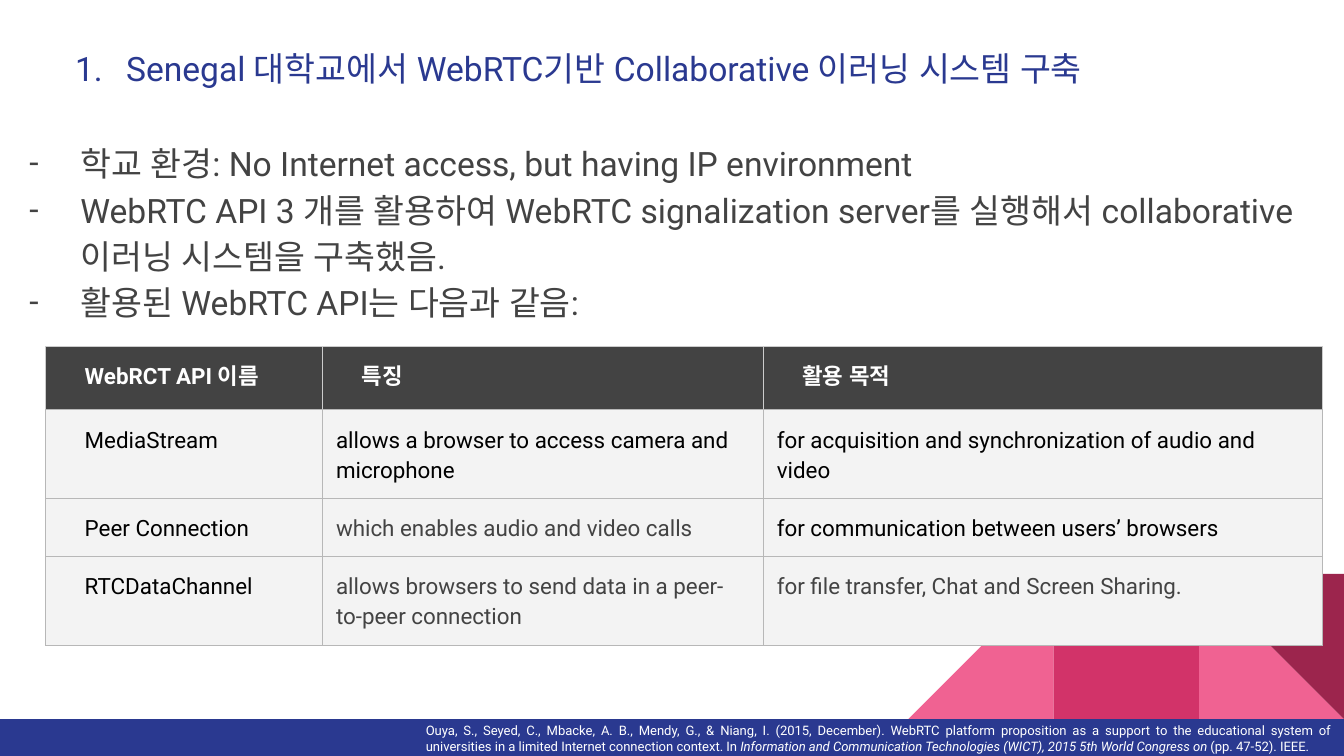
from lxml import etree
from pptx import Presentation
from pptx.dml.color import RGBColor
from pptx.enum.shapes import MSO_SHAPE
from pptx.enum.text import MSO_ANCHOR, PP_ALIGN
from pptx.oxml.ns import qn
from pptx.util import Inches, Pt

RECT, TRI = MSO_SHAPE.RECTANGLE, MSO_SHAPE.RIGHT_TRIANGLE
FONT = "Roboto"
NAVY, GREY, BLACK, WHITE = "2A3990", "434343", "000000", "FFFFFF"
PINK, ROSE, WINE = "F06292", "D23369", "9C254D"
PALE, LINE, LIGHT = "F3F3F3", "B7B7B7", "CCCCCC"

TITLE = "Senegal 대학교에서 WebRTC기반 Collaborative 이러닝 시스템 구축"
POINTS = [
    "학교 환경: No Internet access, but having IP environment",
    "WebRTC API 3 개를 활용하여 WebRTC signalization server를 실행해서 "
    "collaborative 이러닝 시스템을 구축했음.",
    "활용된 WebRTC API는 다음과 같음:",
]
HEADS = ["WebRCT API 이름", "특징", "활용 목적"]
ROWS = [
    [("MediaStream", BLACK),
     ("allows a browser to access camera and microphone", BLACK),
     ("for acquisition and synchronization of audio and video", BLACK)],
    [("Peer Connection", BLACK),
     ("which enables audio and video calls", GREY),
     ("for communication between users’ browsers", BLACK)],
    [("RTCDataChannel", BLACK),
     ("allows browsers to send data in a peer-to-peer connection", GREY),
     ("for file transfer, Chat and Screen Sharing.", GREY)],
]
CITE = [
    ("Ouya, S., Seyed, C., Mbacke, A. B., Mendy, G., & Niang, I. (2015, December). "
     "WebRTC platform proposition as a support to the educational system of "
     "universities in a limited Internet connection context. In", False),
    (" Information and Communication Technologies (WICT), "
     "2015 5th World Congress on ", True),
    ("(pp. 47-52). IEEE.", False),
]
WIDTHS = [2.06, 3.28, 4.16]
HEIGHTS = [0.47, 0.41, 0.41, 0.41]
SIDE = 1.08
# shape, column counted from the right, colour, rotation, flipped
BLOCKS = [
    (TRI, 1, PINK, 0, False),
    (TRI, 3, PINK, 0, True),
    (RECT, 2, ROSE, 0, False),
    (TRI, 1, WINE, 180, False),
]


def rgb(code):
    return RGBColor.from_string(code)


def add(parent, tag, **attrs):
    node = etree.SubElement(parent, qn(tag))
    for key, val in attrs.items():
        node.set(key, str(val))
    return node


def block(kind, box, color):
    shape = slide.shapes.add_shape(kind, *map(Inches, box))
    shape.shadow.inherit = False
    shape.fill.solid()
    shape.fill.fore_color.rgb = rgb(color)
    shape.line.fill.background()
    return shape


def frame(box):
    area = slide.shapes.add_textbox(*map(Inches, box)).text_frame
    area.word_wrap = True
    for side in ("left", "top", "right", "bottom"):
        setattr(area, "margin_" + side, Inches(0.1))
    return area


def write(para, text, size, color, **form):
    run = para.add_run()
    run.text = text
    run.font.color.rgb = rgb(color)
    form.update(name=FONT, size=Pt(size))
    for key, val in form.items():
        setattr(run.font, key, val)
    for tag in ("a:ea", "a:cs"):
        add(run._r.get_or_add_rPr(), tag, typeface=FONT)


def bullet(para, color, tag, **attrs):
    props = para._p.get_or_add_pPr()
    props.set("marL", str(Inches(0.5)))
    props.set("indent", str(Inches(-0.38)))
    add(add(props, "a:buClr"), "a:srgbClr", val=color)
    add(props, "a:buSzPts", val=1800)
    add(props, "a:buFont", typeface=FONT)
    add(props, tag, **attrs)


def fill_cell(cell, text, color, back, edge, inset, bold):
    for side in ("left", "top", "right", "bottom"):
        setattr(cell, "margin_" + side, Inches(0.1))
    props = cell._tc.get_or_add_tcPr()
    for side in "LRTB":
        line = add(props, "a:ln" + side, w=Pt(0.75))
        tone = LINE if side == "B" else edge
        add(add(line, "a:solidFill"), "a:srgbClr", val=tone)
    cell.fill.solid()
    cell.fill.fore_color.rgb = rgb(back)
    para = cell.text_frame.paragraphs[0]
    para.line_spacing = 1.15
    if inset:
        para._p.get_or_add_pPr().set("indent", str(Inches(0.19)))
    write(para, text, 12, color, bold=bold)


deck = Presentation()
deck.slide_width = Inches(10)
deck.slide_height = deck.slide_width * 9 // 16
slide = deck.slides.add_slide(deck.slide_layouts[6])

for kind, col, color, turn, flip in BLOCKS:
    shape = block(kind, (10 - col * SIDE, 4.27, SIDE, SIDE), color)
    shape.rotation = turn
    if flip:
        shape._element.spPr.find(qn("a:xfrm")).set("flipH", "1")
block(RECT, (0, 5.35, 10, 0.28), NAVY)

para = frame((0.34, 0.26, 9.32, 0.66)).paragraphs[0]
bullet(para, NAVY, "a:buAutoNum", type="arabicPeriod")
write(para, TITLE, 18, NAVY)

body = frame((0, 0.92, 10, 3.02))
for i, text in enumerate(POINTS):
    para = body.add_paragraph() if i else body.paragraphs[0]
    bullet(para, GREY, "a:buChar", char="-")
    para.line_spacing = 1.15
    write(para, text, 18, GREY)

foot = frame((3.07, 5.36, 6.93, 0.27))
foot.vertical_anchor = MSO_ANCHOR.MIDDLE
para = foot.paragraphs[0]
para.alignment = PP_ALIGN.JUSTIFY
for text, slant in CITE:
    write(para, text, 7, WHITE, italic=slant)

grid = slide.shapes.add_table(
    len(HEIGHTS), len(WIDTHS), Inches(0.34), Inches(2.58),
    Inches(sum(WIDTHS)), Inches(sum(HEIGHTS))).table
grid.horz_banding = False
for col, width in zip(grid.columns, WIDTHS):
    col.width = Inches(width)
for row, height in zip(grid.rows, HEIGHTS):
    row.height = Inches(height)
for c, text in enumerate(HEADS):
    fill_cell(grid.cell(0, c), text, WHITE, GREY, LIGHT, True, True)
for r, row in enumerate(ROWS, 1):
    for c, (text, color) in enumerate(row):
        fill_cell(grid.cell(r, c), text, color, PALE, LINE, c == 0, False)

deck.save("out.pptx")
